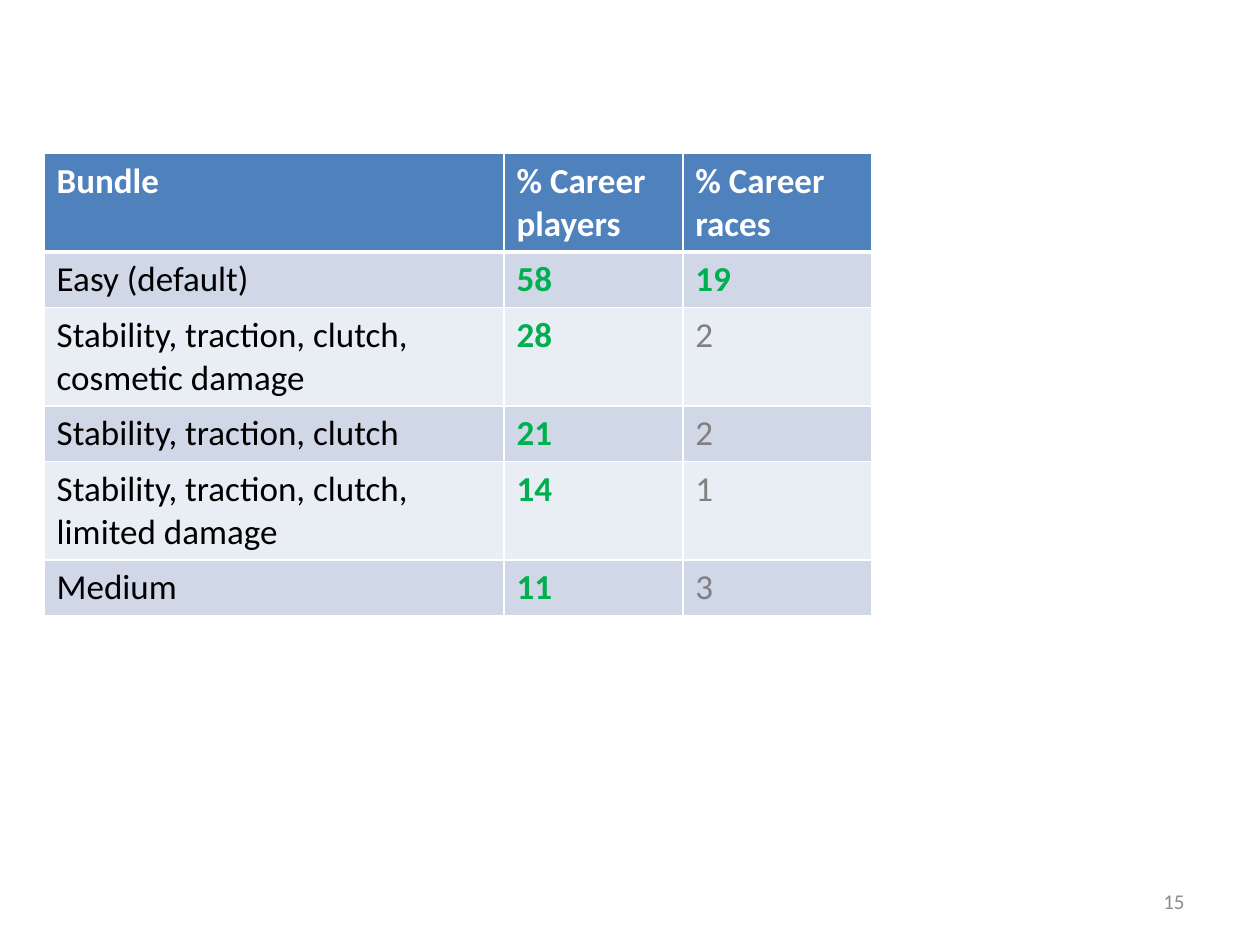
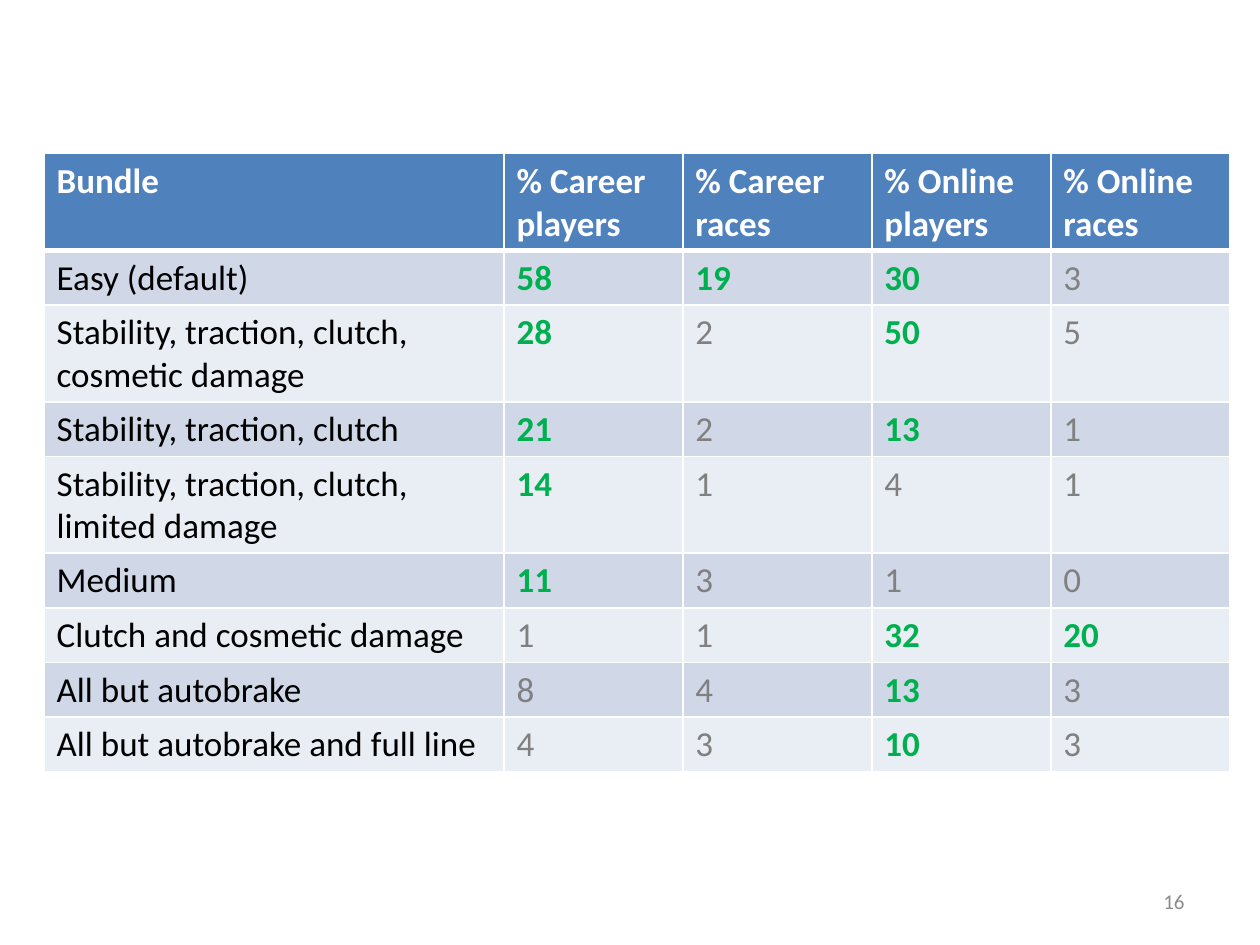
from dataclasses import dataclass

import pptx
import pptx.dml.color
import pptx.enum.text
import pptx.oxml
import pptx.oxml.ns
import pptx.slide
import pptx.table
import pptx.util


@dataclass(frozen=True)
class Theme:
    font: str = "Calibri"
    header_fill: str = "4F81BD"
    bands: tuple[str, str] = ("D0D8E8", "E9EDF4")
    white: str = "FFFFFF"
    black: str = "000000"
    strong: str = "00B050"
    weak: str = "808080"
    number: str = "8C8C8C"
    table_size: int = 20
    number_size: int = 12
    rule: int = 1
    header_rule: int = 3


@dataclass(frozen=True)
class Area:
    """Position and size in percent of the slide."""
    left: float
    top: float
    width: float
    height: float


@dataclass(frozen=True)
class Column:
    heading: str
    width: float


@dataclass(frozen=True)
class Bundle:
    name: str
    shares: tuple[int, ...]


@dataclass(frozen=True)
class TableSlide:
    number: int
    columns: int
    bundles: int


THEME = Theme()
SLIDE_W = pptx.util.Inches(10)
SLIDE_H = pptx.util.Inches(7.5)
TABLE_LEFT, TABLE_TOP, ROW_HEIGHT = 3.5, 16.27, 5.47
NUMBER_AREA = Area(71.7, 92.67, 23.3, 5.33)
STRONG_FROM = 10

COLUMNS = (
    Column("Bundle", 36.5),
    Column("% Career players", 14.2),
    Column("% Career\nraces", 15),
    Column("% Online players", 14.2),
    Column("% Online\nraces", 14.2),
)
BUNDLES = (
    Bundle("Easy (default)", (58, 19, 30, 3)),
    Bundle("Stability, traction, clutch, cosmetic damage", (28, 2, 50, 5)),
    Bundle("Stability, traction, clutch", (21, 2, 13, 1)),
    Bundle("Stability, traction, clutch, limited damage", (14, 1, 4, 1)),
    Bundle("Medium", (11, 3, 1, 0)),
    Bundle("Clutch and cosmetic damage", (1, 1, 32, 20)),
    Bundle("All but autobrake", (8, 4, 13, 3)),
    Bundle("All but autobrake and full line", (4, 3, 10, 3)),
)
SLIDES = (TableSlide(15, 3, 5), TableSlide(16, 5, 8))


def across(percent: float) -> int:
    return round(SLIDE_W * percent / 100)


def down(percent: float) -> int:
    return round(SLIDE_H * percent / 100)


def write(tf: pptx.text.text.TextFrame, text: str, size: int, color: str,
          bold: bool = False) -> None:
    tf.text = text
    for p in tf.paragraphs:
        for r in p.runs:
            r.font.name = THEME.font
            r.font.size = pptx.util.Pt(size)
            r.font.bold = bold
            r.font.color.rgb = pptx.dml.color.RGBColor.from_string(color)


def set_borders(cell: pptx.table._Cell, top: int, bottom: int) -> None:
    tc_pr = cell._tc.get_or_add_tcPr()
    sides = {"L": THEME.rule, "R": THEME.rule, "T": top, "B": bottom}
    for side, points in sides.items():
        tc_pr.append(pptx.oxml.parse_xml(
            f'<a:ln{side} {pptx.oxml.ns.nsdecls("a")} w="{pptx.util.Pt(points)}">'
            f'<a:solidFill><a:srgbClr val="{THEME.white}"/></a:solidFill>'
            f'</a:ln{side}>'))


def draw_cell(cell: pptx.table._Cell, row: int, value: str | int) -> None:
    set_borders(cell,
                THEME.header_rule if row == 1 else THEME.rule,
                THEME.header_rule if row == 0 else THEME.rule)
    fill = THEME.header_fill if row == 0 else THEME.bands[(row - 1) % 2]
    cell.fill.solid()
    cell.fill.fore_color.rgb = pptx.dml.color.RGBColor.from_string(fill)
    if row == 0:
        color, bold = THEME.white, True
    elif isinstance(value, str):
        color, bold = THEME.black, False
    else:
        bold = value >= STRONG_FROM
        color = THEME.strong if bold else THEME.weak
    write(cell.text_frame, str(value), THEME.table_size, color, bold)


def draw_table(s: pptx.slide.Slide, columns: tuple[Column, ...],
               bundles: tuple[Bundle, ...]) -> None:
    rows = [[c.heading for c in columns]]
    rows += [[b.name, *b.shares[:len(columns) - 1]] for b in bundles]
    table = s.shapes.add_table(
        len(rows), len(columns), across(TABLE_LEFT), down(TABLE_TOP),
        across(sum(c.width for c in columns)),
        down(ROW_HEIGHT * len(rows))).table
    for grid_column, column in zip(table.columns, columns):
        grid_column.width = across(column.width)
    for i, values in enumerate(rows):
        table.rows[i].height = down(ROW_HEIGHT)
        for j, value in enumerate(values):
            draw_cell(table.cell(i, j), i, value)


def draw_number(s: pptx.slide.Slide, number: int) -> None:
    area = NUMBER_AREA
    sp = s.shapes.add_textbox(across(area.left), down(area.top),
                              across(area.width), down(area.height))
    tf = sp.text_frame
    tf.word_wrap = True
    tf.vertical_anchor = pptx.enum.text.MSO_ANCHOR.MIDDLE
    write(tf, str(number), THEME.number_size, THEME.number)
    tf.paragraphs[0].alignment = pptx.enum.text.PP_ALIGN.RIGHT


def main() -> None:
    prs = pptx.Presentation()
    prs.slide_width, prs.slide_height = SLIDE_W, SLIDE_H
    for page in SLIDES:
        s = prs.slides.add_slide(prs.slide_layouts[6])
        draw_table(s, COLUMNS[:page.columns], BUNDLES[:page.bundles])
        draw_number(s, page.number)
    prs.save("out.pptx")


if __name__ == "__main__":
    main()
